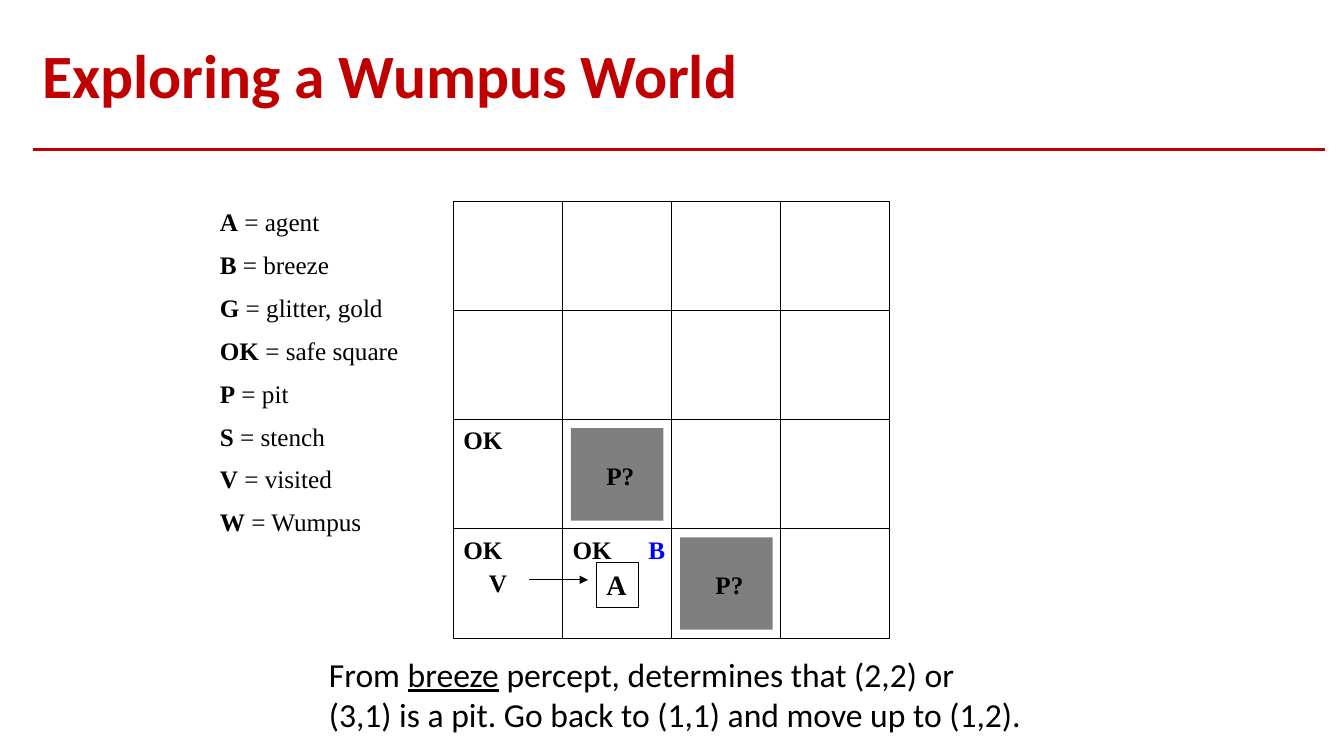
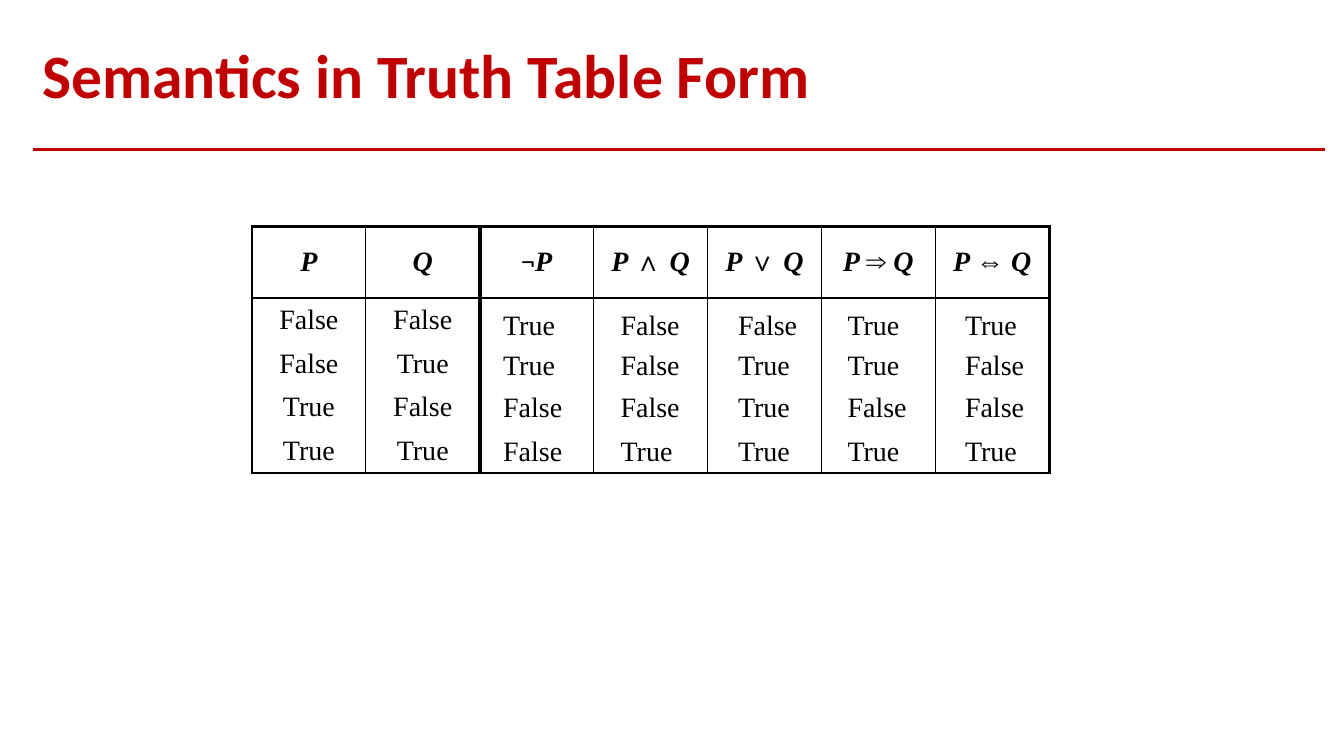
from lxml.etree import SubElement
from pptx import Presentation
from pptx.dml.color import RGBColor
from pptx.enum.shapes import MSO_CONNECTOR, MSO_SHAPE
from pptx.enum.text import MSO_ANCHOR as ANC, PP_ALIGN as AL
from pptx.oxml.ns import qn
from pptx.util import Cm, Pt

C = {"red": "C00000", "black": "000000", "white": "FFFFFF", "blue": "0000FF"}
SANS, SERIF = "Calibri", "Times New Roman"


def write(tf, text, size=18, font=SERIF, color="black", bold=False, italic=False,
          align=AL.LEFT, anchor=ANC.TOP, wrap=True, before=0, spacing=None):
    """Each paragraph is a string or a list of (text, font overrides) runs."""
    tf.word_wrap, tf.vertical_anchor = wrap, anchor
    for i, runs in enumerate([text] if isinstance(text, str) else text):
        p = tf.add_paragraph() if i else tf.paragraphs[0]
        p.alignment, p.line_spacing = align, spacing
        p.space_before = Pt(before if i else 0)
        for words, extra in [(runs, {})] if isinstance(runs, str) else runs:
            r = p.add_run()
            r.text = words
            r.font.size, r.font.name = Pt(size), font
            r.font.bold, r.font.italic = bold, italic
            r.font.color.rgb = RGBColor.from_string(C[color])
            for name, value in extra.items():
                setattr(r.font, name, value)


def line(s, x1, y1, x2, y2, color, width):
    cx = s.shapes.add_connector(MSO_CONNECTOR.STRAIGHT, Cm(x1), Cm(y1), Cm(x2), Cm(y2))
    cx.line.color.rgb = RGBColor.from_string(C[color])
    cx.line.width = Pt(width)
    SubElement(cx._element.spPr, qn("a:effectLst"))
    return cx


prs = Presentation()
prs.slide_width, prs.slide_height = Cm(33.87), Cm(19.05)

# Shared title and rule
slides = []
for title in ("Exploring a Wumpus World", "Semantics in Truth Table Form"):
    s = prs.slides.add_slide(prs.slide_layouts[6])
    line(s, 0.82, 3.76, 33.38, 3.76, "red", 2.25)
    tb = s.shapes.add_textbox(Cm(0.81), Cm(0.71), Cm(32.57), Cm(2.54))
    write(tb.text_frame, title, size=44, font=SANS, color="red", bold=True,
          anchor=ANC.MIDDLE, spacing=0.9)
    slides.append(s)
world, truth = slides

# Wumpus world: squares, then pits and agent, as (x, y, w, h, fill, outlined, text, format)
LEFT, TOP, SIDE, GAP = 11.43, 5.08, 2.75, 0.21
safe = {(0, 2), (0, 3), (1, 3)}
pits = [(LEFT + c * SIDE, TOP + r * SIDE) for c, r in [(1, 2), (2, 3)]]
boxes = [(LEFT + c * SIDE, TOP + r * SIDE, SIDE, SIDE, "white", True,
          "OK" if (c, r) in safe else "", {})
         for c in range(4) for r in range(4)]
boxes += [(x + GAP, y + GAP, SIDE - 2 * GAP, SIDE - 2 * GAP, "black", False, "", {})
          for x, y in pits]
boxes.append((15.03, 14.18, 1.06, 1.12, None, True, "A", {"size": 20, "wrap": False}))
for x, y, w, h, fill, outlined, text, fmt in boxes:
    sp = world.shapes.add_shape(MSO_SHAPE.RECTANGLE, Cm(x), Cm(y), Cm(w), Cm(h))
    sp.shadow.inherit = False
    if fill:
        sp.fill.solid()
        sp.fill.fore_color.rgb = RGBColor.from_string(C[fill])
    else:
        sp.fill.background()
    if outlined:
        sp.line.color.rgb = RGBColor.from_string(C["black"])
        sp.line.width = Pt(0.75)
    else:
        # Pits are half transparent
        sp.line.fill.background()
        clr = sp._element.spPr.find(qn("a:solidFill")).find(qn("a:srgbClr"))
        SubElement(clr, qn("a:alpha"), val="50000")
    if text:
        write(sp.text_frame, text, bold=True, **fmt)

# Agent's move
arrow = line(world, 13.34, 14.61, 14.82, 14.61, "black", 0.75)
SubElement(arrow.line._get_or_add_ln(), qn("a:tailEnd"), type="triangle")

# Marks, legend and caption
legend = [("A", "agent"), ("B", "breeze"), ("G", "glitter, gold"), ("OK", "safe square"),
          ("P", "pit"), ("S", "stench"), ("V", "visited"), ("W", "Wumpus")]
caption = [("From ", {}), ("breeze", {"underline": True}),
           (" percept, determines that (2,2) or (3,1) is a pit. "
            "Go back to (1,1) and move up to (1,2).", {})]
mark = {"bold": True, "wrap": False}
notes = [(x + 0.85, y + 0.9, 1.22, 1.02, "P?", mark) for x, y in pits]
notes += [
    (16.09, 13.34, 0.94, 1.02, "B", {"color": "blue", **mark}),
    (12.07, 14.18, 0.97, 1.02, "V", mark),
    (5.29, 5.08, 5.29, 9.05,
     [[(key, {"bold": True}), (f" = {meaning}", {})] for key, meaning in legend],
     {"before": 9}),
    (8.04, 16.35, 17.99, 2.31, [caption], {"size": 24, "font": SANS}),
]
for x, y, w, h, text, fmt in notes:
    tb = world.shapes.add_textbox(Cm(x), Cm(y), Cm(w), Cm(h))
    write(tb.text_frame, text, **fmt)

# Truth table: headings and the two inputs
plain = {"bold": False, "italic": False}
heads = ["P", "Q", [("¬", {"name": SANS, **plain}), ("P", {})]]
heads += [[("P ", {}), (f"{sign} ", plain), ("Q", {})] for sign in "∧∨⇒⇔"]
cases = [(p, q) for p in (False, True) for q in (False, True)]
v_edges = [2.25, 0.75, 3, 0.75, 0.75, 0.75, 0.75, 2.25]
h_edges = [2.25, 1, 0, 0, 0, 2.25]

table = truth.shapes.add_table(5, 7, Cm(6.35), Cm(5.71), Cm(20.09), Cm(6.2)).table
table.first_row = table.horz_banding = False
for col in table.columns:
    col.width = Cm(2.87)
for r, row in enumerate(table.rows):
    row.height = Cm(1.1 if r else 1.8)
    for c, cell in enumerate(row.cells):
        cell.fill.background()
        if r == 0:
            write(cell.text_frame, [heads[c]], size=20, bold=True, italic=True, align=AL.CENTER)
        elif c < 2:
            write(cell.text_frame, str(cases[r - 1][c]), size=20, align=AL.CENTER)
        cell.vertical_anchor = ANC.MIDDLE

        # Cell borders come before the fill
        tc_pr = cell._tc.get_or_add_tcPr()
        edges = {"L": v_edges[c], "R": v_edges[c + 1], "T": h_edges[r], "B": h_edges[r + 1]}
        for i, (side, width) in enumerate(edges.items()):
            ln = SubElement(tc_pr, qn(f"a:ln{side}"), w=str(Pt(width)))
            if width:
                SubElement(SubElement(ln, qn("a:solidFill")), qn("a:srgbClr"), val=C["black"])
            else:
                SubElement(ln, qn("a:noFill"))
            tc_pr.insert(i, ln)

# Results laid over the empty cells
for y, (p, q) in zip([7.62, 8.64, 9.7, 10.8], cases):
    results = [not p, p and q, p or q, not p or q, p == q]
    for x, result in zip([12.07, 15.03, 17.99, 20.75, 23.71], results):
        tb = truth.shapes.add_textbox(Cm(x), Cm(y), Cm(3.39), Cm(1.09))
        tb.text_frame.margin_left = Cm(0.61)
        write(tb.text_frame, str(result), size=20)

prs.save("out.pptx")
